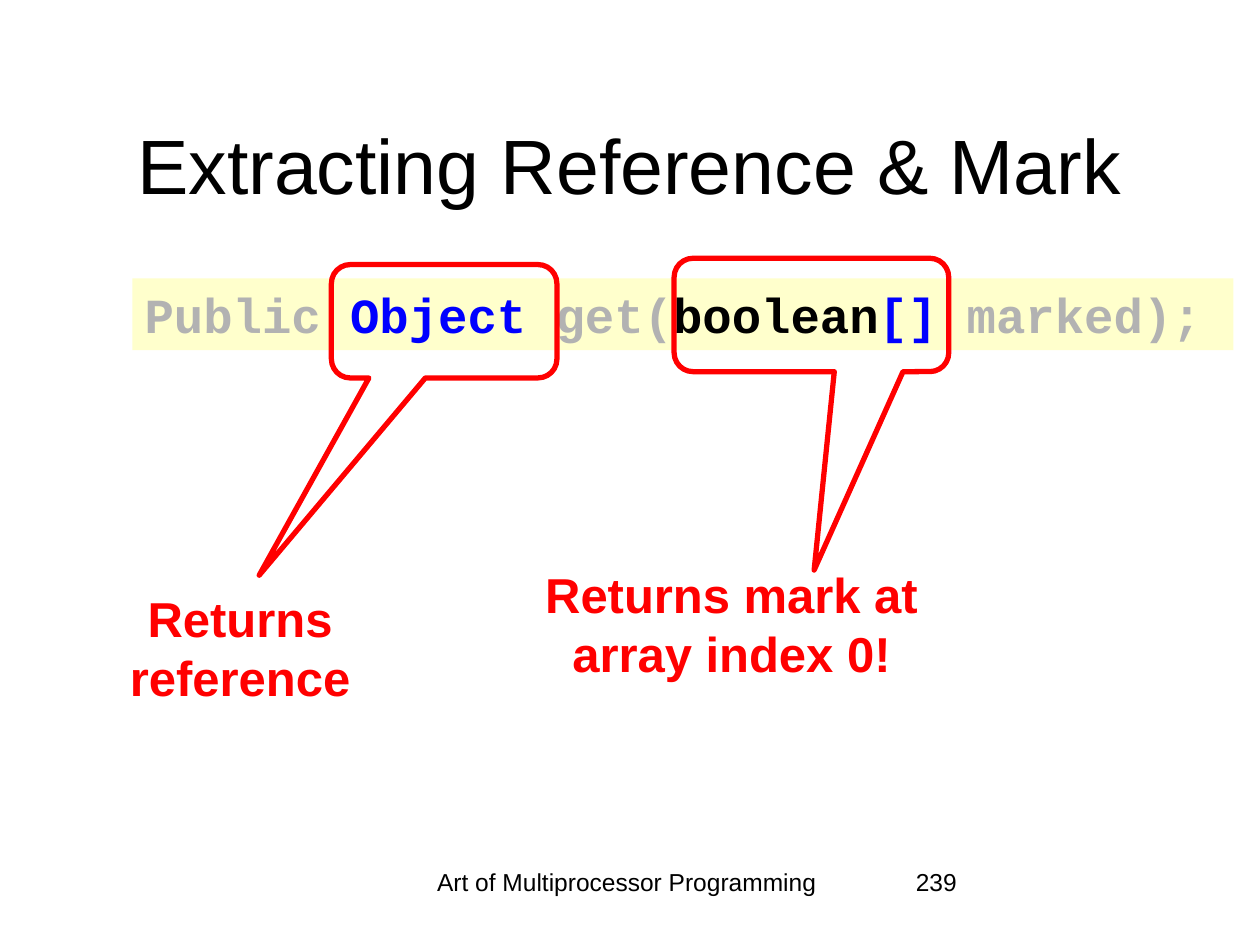
import dataclasses

import pptx
import pptx.dml.color
import pptx.enum.shapes
import pptx.enum.text
import pptx.util

ALIGN = pptx.enum.text.PP_ALIGN
ANCHOR = pptx.enum.text.MSO_ANCHOR
SHAPE = pptx.enum.shapes.MSO_SHAPE


@dataclasses.dataclass(frozen=True)
class Theme:
    sans: str = "Arial"
    mono: str = "Courier New"
    ink: str = "000000"
    muted: str = "B2B2B2"
    keyword: str = "0000FF"
    accent: str = "FF0000"
    band: str = "FFFFCC"
    title_size: int = 44
    body_size: int = 28
    footer_size: int = 14
    outline: int = 3


@dataclasses.dataclass(frozen=True)
class Box:
    left: float
    top: float
    width: float
    height: float

    def inner(self, left, top, width, height):
        return Box(self.left + left, self.top + top, width, height)

    def emu(self):
        return [round(cells * CELL) for cells in dataclasses.astuple(self)]


THEME = Theme()
COLUMNS, ROWS = 100, 75
CELL = pptx.util.Inches(10) / COLUMNS


def rgb(value):
    return pptx.dml.color.RGBColor.from_string(value)


def set_font(font, face, size, color, bold=False):
    font.name = face
    font.size = pptx.util.Pt(size)
    font.bold = bold
    font.color.rgb = rgb(color)


def add_text(slide, box, words, size, color=THEME.ink, bold=False,
             align=ALIGN.CENTER, anchor=ANCHOR.TOP):
    frame = slide.shapes.add_textbox(*box.emu()).text_frame
    frame.word_wrap = True
    frame.vertical_anchor = anchor
    line = frame.paragraphs[0]
    line.text = words
    line.alignment = align
    set_font(line.font, THEME.sans, size, color, bold)


def add_title(slide, box, words):
    add_text(slide, box, words, THEME.title_size, anchor=ANCHOR.MIDDLE)


def add_footer(slide, box, book, number):
    book_width, number_width = 37.5, 20.8
    add_text(slide, box.inner(0, 0, book_width, box.height), book, THEME.footer_size)
    add_text(slide, box.inner(box.width - number_width, 0, number_width, box.height),
             number, THEME.footer_size, align=ALIGN.LEFT)


def add_signature(slide, box, tokens):
    band = slide.shapes.add_shape(SHAPE.RECTANGLE, *box.emu())
    band.shadow.inherit = False
    band.fill.solid()
    band.fill.fore_color.rgb = rgb(THEME.band)
    band.line.fill.background()
    frame = band.text_frame
    frame.word_wrap = True
    frame.vertical_anchor = ANCHOR.TOP
    line = frame.paragraphs[0]
    line.alignment = ALIGN.LEFT
    for code, color in tokens:
        token = line.add_run()
        token.text = code
        set_font(token.font, THEME.mono, THEME.body_size, color, bold=True)


def add_explanation(slide, box, bubble_left, bubble_width, note_width, tip, words):
    bubble_height, note_height = 9, 10.3
    bubble = slide.shapes.add_shape(
        SHAPE.ROUNDED_RECTANGULAR_CALLOUT,
        *box.inner(bubble_left, 0, bubble_width, bubble_height).emu())
    bubble.shadow.inherit = False
    bubble.fill.background()
    bubble.line.color.rgb = rgb(THEME.accent)
    bubble.line.width = pptx.util.Pt(THEME.outline)
    bubble.adjustments[0], bubble.adjustments[1] = tip
    note = box.inner(0, box.height - note_height, note_width, note_height)
    add_text(slide, note, words, THEME.body_size, THEME.accent, bold=True)


def main():
    deck = pptx.Presentation()
    deck.slide_width = round(COLUMNS * CELL)
    deck.slide_height = round(ROWS * CELL)
    slide = deck.slides.add_slide(deck.slide_layouts[6])

    add_footer(slide, Box(31, 68.3, 61.5, 5), "Art of Multiprocessor Programming", "239")
    add_title(slide, Box(7.5, 6.7, 85, 12.5), "Extracting Reference & Mark")
    add_signature(slide, Box(10.5, 22.1, 87.4, 5.7), [
        ("Public", THEME.muted),
        (" Object ", THEME.keyword),
        ("get(", THEME.muted),
        ("boolean", THEME.ink),
        ("[]", THEME.keyword),
        (" marked);", THEME.muted),
    ])
    add_explanation(slide, Box(6.3, 21, 37.9, 35.5), bubble_left=20, bubble_width=17.9,
                    note_width=25.5, tip=(-0.82, 2.24), words="Returns reference")
    add_explanation(slide, Box(39.9, 20.5, 36.3, 34.1), bubble_left=13.6, bubble_width=21.8,
                    note_width=36.3, tip=(0.01, 2.25), words="Returns mark at array index 0!")

    deck.save("out.pptx")


if __name__ == "__main__":
    main()
